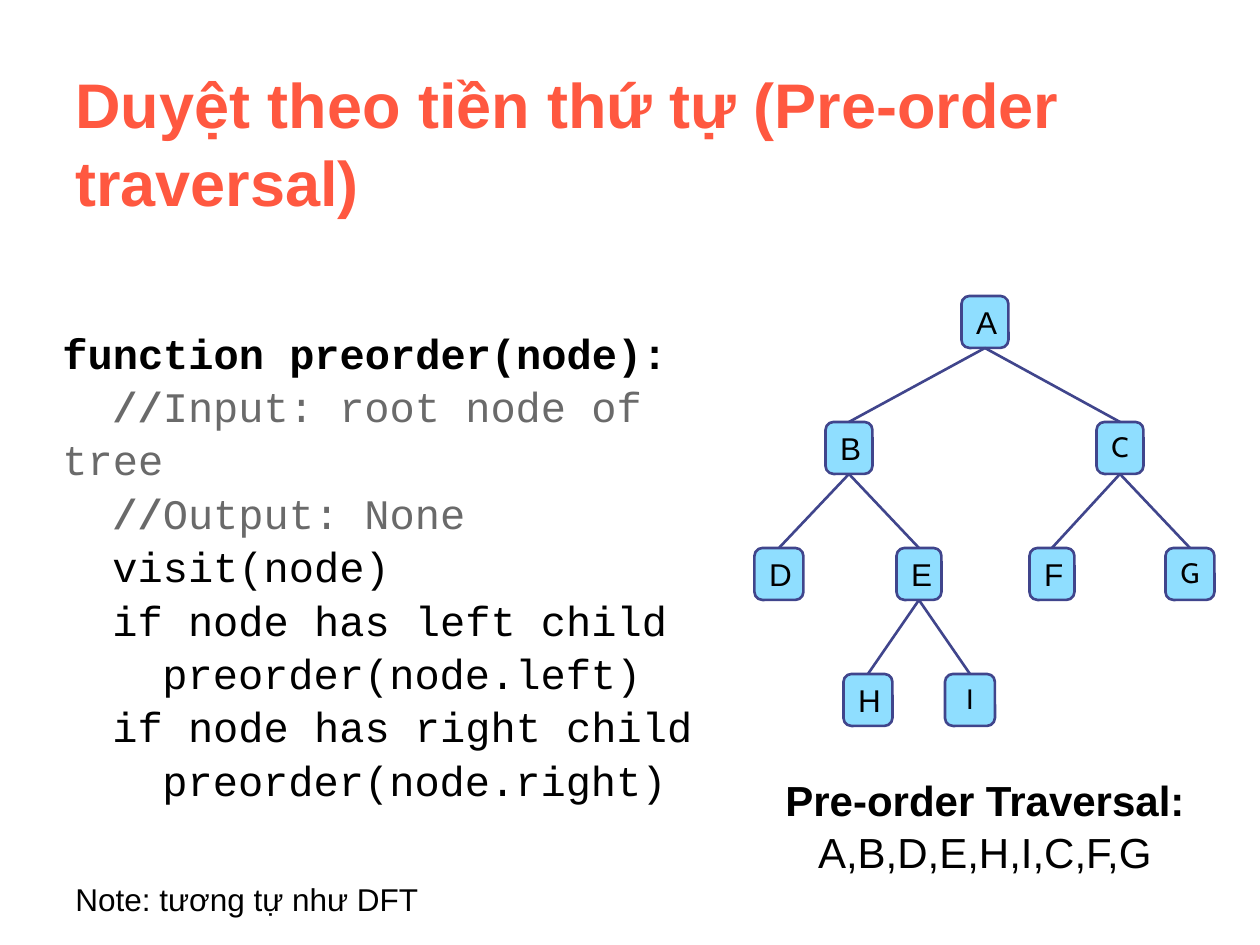
from lxml.etree import SubElement
from pptx import Presentation
from pptx.dml.color import RGBColor
from pptx.enum.shapes import MSO_CONNECTOR as Connector, MSO_SHAPE as Shape
from pptx.enum.text import MSO_ANCHOR as Anchor, PP_ALIGN as Align
from pptx.oxml.ns import qn
from pptx.util import Pt

SCALE = 914400 // 126
COLORS = {"title": "FF5840", "text": "000000", "comment": "6A6A6A",
          "node": "8FDEFF", "edge": "40458C"}

TITLE = "Duyệt theo tiền thứ tự (Pre-order traversal)"
NOTE = "Note: tương tự như DFT"
RESULT = [("Pre-order Traversal: ", True, "text"), ("A,B,D,E,H,I,C,F,G", False, "text")]
CODE = [
    (0, [("function preorder(node):", True, "text")]),
    (1, [("//", True, "comment"), ("Input: root node of tree", False, "comment")]),
    (1, [("//", True, "comment"), ("Output: None", False, "comment")]),
    (1, [("visit(node)", False, "text")]),
    (1, [("if node has left child", False, "text")]),
    (2, [("preorder(node.left)", False, "text")]),
    (1, [("if node has right child", False, "text")]),
    (2, [("preorder(node.right)", False, "text")]),
]
NODES = {
    "A": (985, 0, 47), "B": (849, 1, 47), "C": (1120, 1, 47),
    "D": (779, 2, 49), "E": (919, 2, 45), "F": (1052, 2, 45),
    "G": (1190, 2, 49), "H": (868, 3, 49), "I": (970, 3, 50),
}
CENTERED_NODES = "CGI"
EDGES = ["AB", "AC", "CG", "CF", "BE", "BD", "EH", "EI"]
TREE_TOP, LEVEL_STEP, NODE_HEIGHT, CORNER = 296, 126, 52, 8
INDENT_STEP = 50


def px(*values):
    return [round(value * SCALE) for value in values]


def color(name):
    return RGBColor.from_string(COLORS[name])


def write(shape, lines, size, font="Arial", align=Align.LEFT, anchor=Anchor.TOP,
          spacing=1.04, wrap=True):
    frame = shape.text_frame
    frame.word_wrap = wrap
    frame.vertical_anchor = anchor
    for index, (level, runs) in enumerate(lines):
        paragraph = frame.paragraphs[0] if index == 0 else frame.add_paragraph()
        paragraph.alignment = align
        paragraph.line_spacing = spacing
        if level:
            properties = paragraph._p.get_or_add_pPr()
            properties.set("marL", "0")
            properties.set("indent", str(px(level * INDENT_STEP)[0]))
        for text, bold, tone in runs:
            run = paragraph.add_run()
            run.text = text
            run.font.name = font
            run.font.size = Pt(size)
            run.font.bold = bold
            run.font.color.rgb = color(tone)


def add_text(slide, box, lines, size, **style):
    write(slide.shapes.add_textbox(*px(*box)), lines, size, **style)


def add_node(slide, label, center, level, width):
    box = px(center - width / 2, TREE_TOP + level * LEVEL_STEP, width, NODE_HEIGHT)
    node = slide.shapes.add_shape(Shape.ROUNDED_RECTANGLE, *box)
    node.adjustments[0] = CORNER / width
    node.shadow.inherit = False
    node.fill.solid()
    node.fill.fore_color.rgb = color("node")
    node.line.color.rgb = color("edge")
    node.line.width = Pt(1.5)
    lines = [(0, [(label, False, "text")])]
    if label in CENTERED_NODES:
        write(node, lines, 16, font="Cabin", align=Align.CENTER, anchor=Anchor.MIDDLE,
              spacing=0.93, wrap=False)
    else:
        write(node, lines, 18, anchor=Anchor.MIDDLE, spacing=1.0, wrap=False)
    return node


def add_edge(slide, parent, child):
    edge = slide.shapes.add_connector(Connector.STRAIGHT, 0, 0, 0, 0)
    edge.begin_connect(parent, 2)
    edge.end_connect(child, 0)
    edge.line.color.rgb = color("edge")
    edge.line.width = Pt(1.5)
    SubElement(edge._element.spPr, qn("a:effectLst"))


def main():
    presentation = Presentation()
    presentation.slide_width, presentation.slide_height = px(1260, 945)
    slide = presentation.slides.add_slide(presentation.slide_layouts[6])

    add_text(slide, (63, 73, 1134, 136), [(0, [(TITLE, True, "title")])], 36,
             anchor=Anchor.MIDDLE)
    add_text(slide, (50, 318, 700, 466), CODE, 24, font="Courier New", spacing=1.06)
    add_text(slide, (750, 766, 470, 113), [(0, RESULT)], 24, align=Align.CENTER)
    add_text(slide, (63, 872, 525, 50), [(0, [(NOTE, False, "text")])], 18)

    nodes = {label: add_node(slide, label, *place) for label, place in NODES.items()}
    for parent, child in EDGES:
        add_edge(slide, nodes[parent], nodes[child])

    presentation.save("out.pptx")


if __name__ == "__main__":
    main()
